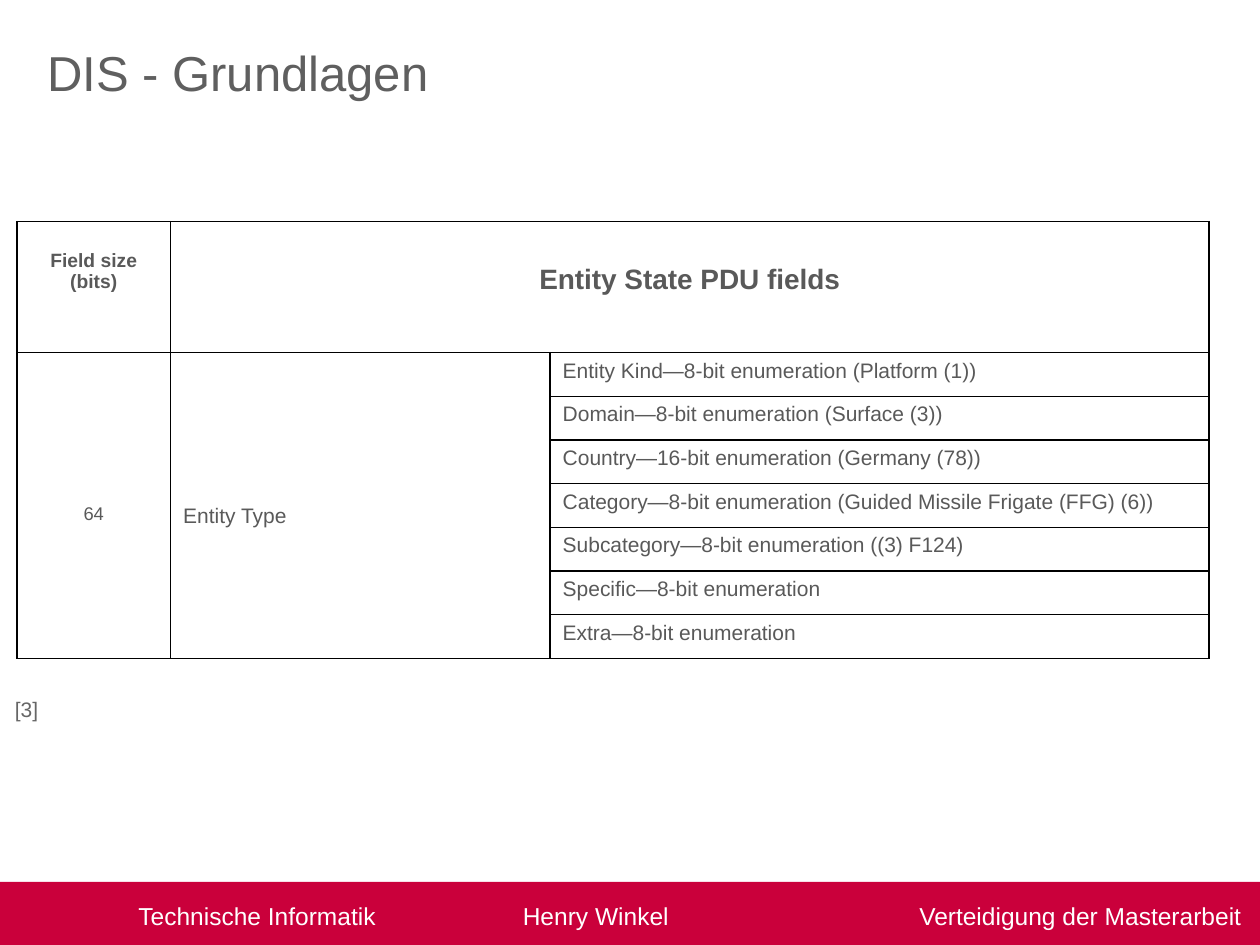
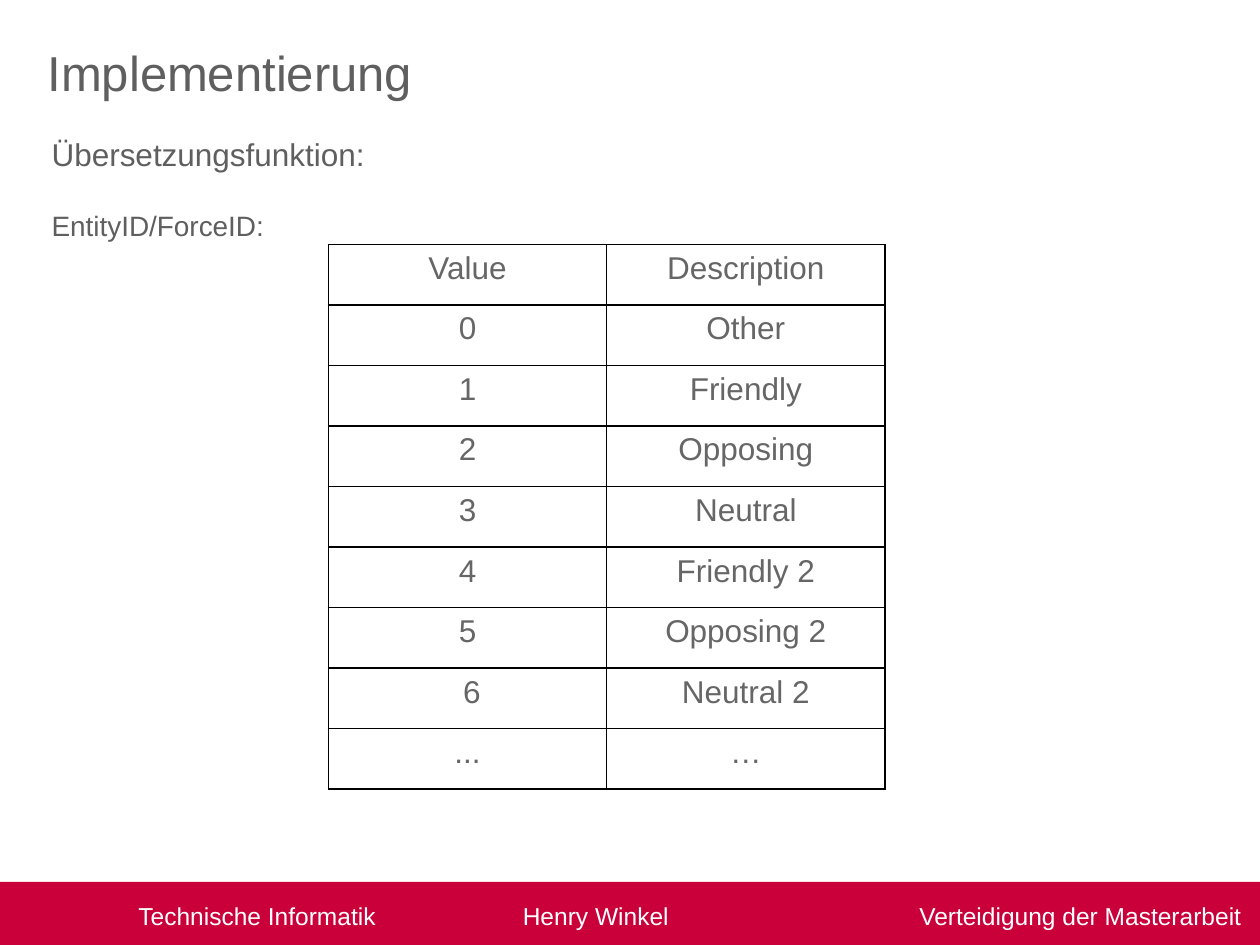
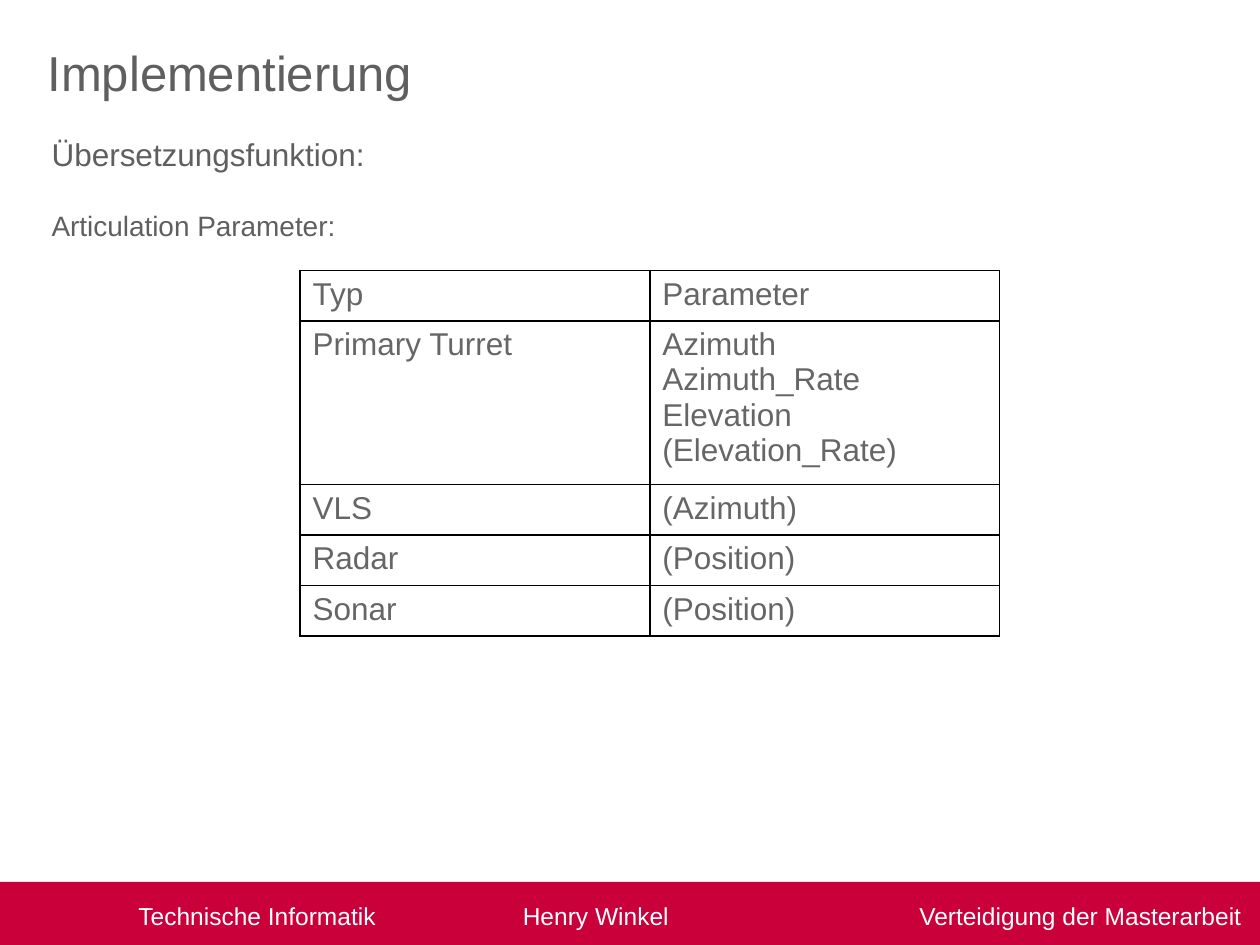
from lxml.etree import SubElement
from pptx import Presentation
from pptx.dml.color import RGBColor
from pptx.enum.shapes import MSO_SHAPE
from pptx.enum.text import MSO_ANCHOR, PP_ALIGN
from pptx.oxml.ns import qn
from pptx.util import Cm, Pt

# Shared look
FONT = "Arial"
RED, WHITE, BLACK = "CA003B", "FFFFFF", "000000"
HEADING_GREY, TEXT_GREY, PDU_GREY = "5F5F5F", "666666", "595959"
FOOTER = "\tTechnische Informatik\tHenry Winkel\tVerteidigung der Masterarbeit"
FOOTER_TABS = [(2.54, "l"), (10.29, "l"), (24.78, "r")]

# Table contents
ENTITY_TYPE_FIELDS = [
    "Entity Kind—8-bit enumeration (Platform (1))",
    "Domain—8-bit enumeration (Surface (3))",
    "Country—16-bit enumeration (Germany (78))",
    "Category—8-bit enumeration (Guided Missile Frigate (FFG) (6))",
    "Subcategory—8-bit enumeration ((3) F124)",
    "Specific—8-bit enumeration",
    "Extra—8-bit enumeration",
]
FORCE_IDS = [
    ("Value", "Description"),
    ("0", "Other"),
    ("1", "Friendly"),
    ("2", "Opposing"),
    ("3", "Neutral"),
    ("4", "Friendly 2"),
    ("5", "Opposing 2"),
    (" 6", "Neutral 2"),
    ("...", "…"),
]
ARTICULATIONS = [
    ("Typ", "Parameter"),
    ("Primary Turret", "Azimuth\nAzimuth_Rate\nElevation\n(Elevation_Rate)"),
    ("VLS", "(Azimuth)"),
    ("Radar", "(Position)"),
    ("Sonar", "(Position)"),
]


def color(hex_code):
    return RGBColor.from_string(hex_code)


def write(frame, text, size=18, hex_code=TEXT_GREY, bold=False,
          align=PP_ALIGN.LEFT, before=0):
    """Write each line as a paragraph, after any text already there."""
    for line in text.split("\n"):
        para = frame.paragraphs[-1]
        if para.runs:
            para = frame.add_paragraph()
        para.alignment = align
        para.space_before = Pt(before)
        span = para.add_run()
        span.text = line
        span.font.name = FONT
        span.font.size = Pt(size)
        span.font.bold = bold
        span.font.color.rgb = color(hex_code)


def add_text_box(page, left, top, width, height):
    box = page.shapes.add_textbox(Cm(left), Cm(top), Cm(width), Cm(height))
    box.text_frame.word_wrap = True
    return box.text_frame


def add_footer(page):
    band = page.shapes.add_shape(
        MSO_SHAPE.RECTANGLE, Cm(0), Cm(17.78), Cm(25.4), Cm(1.37))
    band.shadow.inherit = False
    band.fill.solid()
    band.fill.fore_color.rgb = color(RED)
    band.line.fill.background()
    frame = band.text_frame
    frame.vertical_anchor = MSO_ANCHOR.MIDDLE
    write(frame, FOOTER, size=14, hex_code=WHITE)
    tab_list = SubElement(frame.paragraphs[0]._p.get_or_add_pPr(), qn("a:tabLst"))
    for position, side in FOOTER_TABS:
        SubElement(tab_list, qn("a:tab"), pos=str(Cm(position)), algn=side)


def add_page(deck, title):
    page = deck.slides.add_slide(deck.slide_layouts[6])
    add_footer(page)
    write(add_text_box(page, 0.71, 0.74, 20, 2), title,
          size=28, hex_code=HEADING_GREY)
    return page


def add_subheading(page, topic):
    frame = add_text_box(page, 0.79, 2.59, 9, 1.07)
    write(frame, "Übersetzungsfunktion:", hex_code=HEADING_GREY)
    write(frame, topic, size=16, hex_code=HEADING_GREY, before=20.7)


def style_cell(cell):
    """Black one-point borders on a white fill."""
    properties = cell._tc.get_or_add_tcPr()
    for side in ("lnL", "lnR", "lnT", "lnB"):
        border = SubElement(properties, qn(f"a:{side}"), w=str(Pt(1)))
        paint = SubElement(border, qn("a:solidFill"))
        SubElement(paint, qn("a:srgbClr"), val=BLACK)
    cell.fill.solid()
    cell.fill.fore_color.rgb = color(WHITE)


def add_grid(page, left, top, widths, heights):
    table = page.shapes.add_table(
        len(heights), len(widths), Cm(left), Cm(top),
        Cm(sum(widths)), Cm(sum(heights))).table
    table.first_row = table.horz_banding = False
    for column, width in zip(table.columns, widths):
        column.width = Cm(width)
    for row, height in zip(table.rows, heights):
        row.height = Cm(height)
    for cell in table.iter_cells():
        style_cell(cell)
    return table


def fill_rows(table, rows, **text_format):
    for row_index, row in enumerate(rows):
        for column_index, text in enumerate(row):
            write(table.cell(row_index, column_index).text_frame, text, **text_format)


def add_pdu_table(page):
    count = len(ENTITY_TYPE_FIELDS)
    table = add_grid(page, 0.34, 4.47, [3.1, 7.65, 13.28], [2.64] + [0.88] * count)
    table.cell(0, 1).merge(table.cell(0, 2))
    for column in (0, 1):
        table.cell(1, column).merge(table.cell(count, column))

    # Headings and merged cells: row, column, top margin, text, format
    centre = PP_ALIGN.CENTER
    labels = [
        (0, 0, 0.57, "Field size (bits)", dict(size=11, bold=True, align=centre)),
        (0, 1, 0.86, "Entity State PDU fields", dict(size=16, bold=True, align=centre)),
        (1, 0, 3.05, "64", dict(size=10.5, align=centre)),
        (1, 1, 3.05, "Entity Type", dict(size=12)),
    ]
    for row, column, margin, text, text_format in labels:
        cell = table.cell(row, column)
        cell.margin_top = Cm(margin)
        write(cell.text_frame, text, hex_code=PDU_GREY, **text_format)
    for row, field in enumerate(ENTITY_TYPE_FIELDS, start=1):
        write(table.cell(row, 2).text_frame, field, size=12, hex_code=PDU_GREY)


def main():
    deck = Presentation()
    deck.slide_width, deck.slide_height = Cm(25.4), Cm(19.05)

    # Entity State PDU
    page = add_page(deck, "DIS - Grundlagen")
    write(add_text_box(page, 0.05, 13.92, 1.2, 0.76), "[3]", size=12)
    add_pdu_table(page)

    # Force identifiers
    page = add_page(deck, "Implementierung")
    add_subheading(page, "EntityID/ForceID:")
    table = add_grid(page, 6.62, 4.93, [5.61] * 2, [1.22] * len(FORCE_IDS))
    fill_rows(table, FORCE_IDS, align=PP_ALIGN.CENTER)

    # Articulation parameters
    page = add_page(deck, "Implementierung")
    add_subheading(page, "Articulation Parameter:")
    table = add_grid(page, 6.05, 5.45, [7.05] * 2, [1.01, 3.1, 1.01, 1.01, 1.01])
    fill_rows(table, ARTICULATIONS)

    deck.save("out.pptx")


if __name__ == "__main__":
    main()
